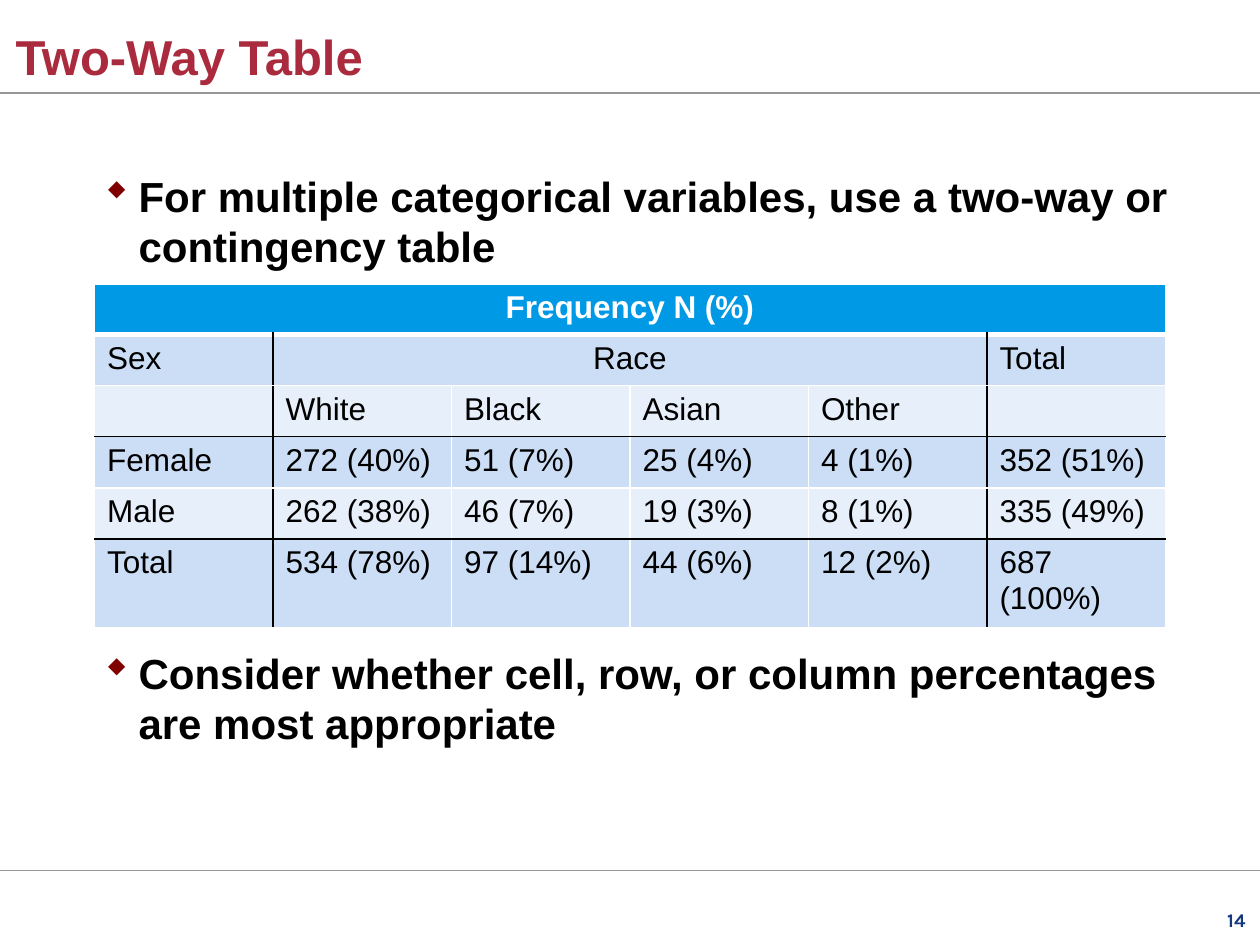
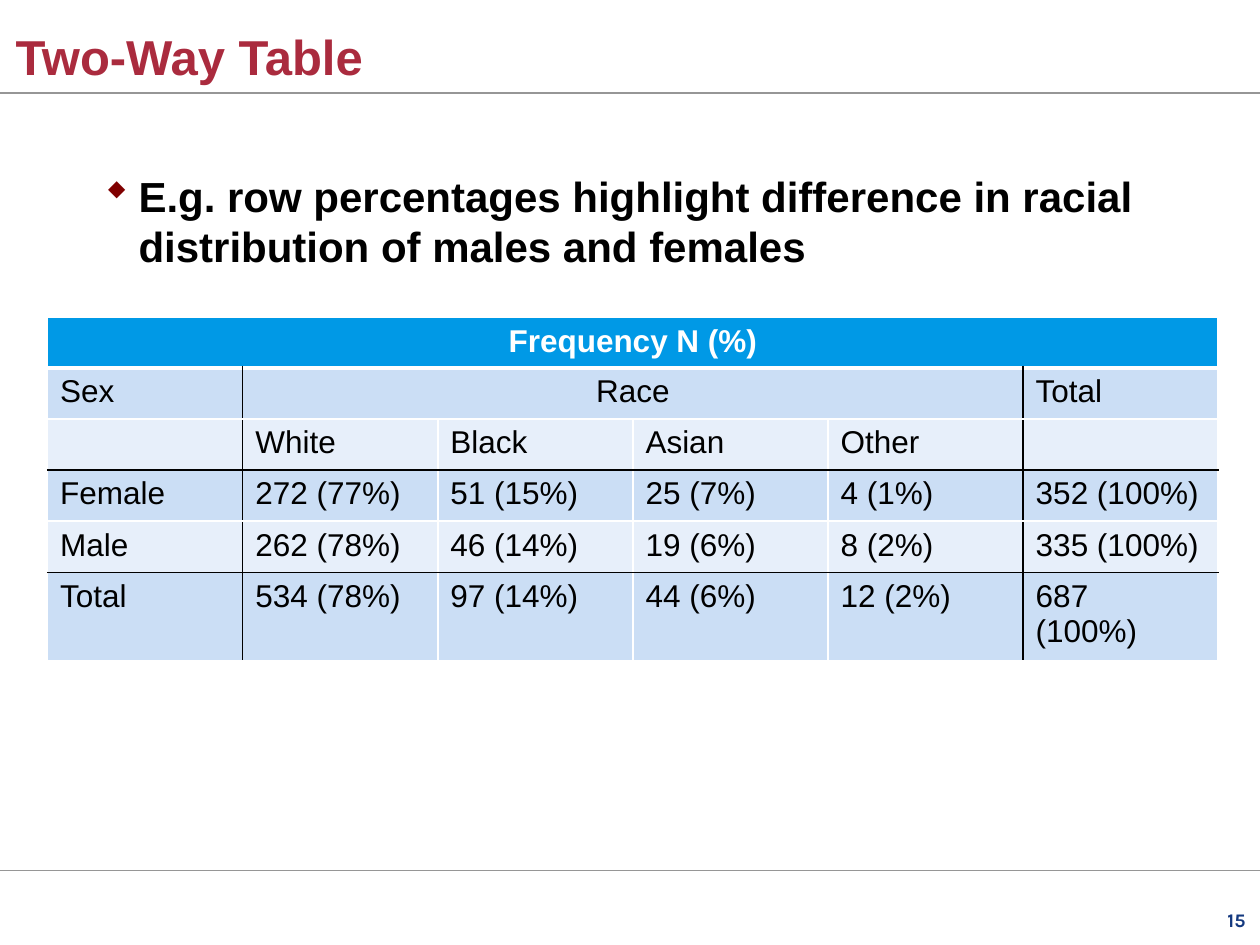
from lxml.etree import SubElement
from pptx import Presentation
from pptx.dml.color import RGBColor
from pptx.enum.shapes import MSO_CONNECTOR
from pptx.enum.text import MSO_ANCHOR, PP_ALIGN
from pptx.oxml.ns import qn
from pptx.util import Pt

# Shared colours
WHITE = RGBColor(0xFF, 0xFF, 0xFF)
BLACK = RGBColor(0x00, 0x00, 0x00)
CRIMSON = RGBColor(0xAA, 0x2B, 0x3E)
MAROON = RGBColor(0x80, 0x00, 0x00)
NAVY = RGBColor(0x14, 0x39, 0x7F)
RULE_GREY = RGBColor(0x96, 0x96, 0x96)
HEADER_BLUE = RGBColor(0x00, 0x99, 0xE6)
BAND_DARK = RGBColor(0xCB, 0xDE, 0xF5)
BAND_LIGHT = RGBColor(0xE7, 0xEF, 0xFA)

# Shared text formats
TITLE_FORMAT = {"name": "Arial", "size": Pt(28), "bold": True, "color": CRIMSON}
BULLET_FORMAT = {"name": "Arial", "size": Pt(24), "bold": True, "color": BLACK}
NUMBER_FORMAT = {"name": "Karla", "size": Pt(11), "bold": True, "color": NAVY}
HEADER_FORMAT = {"name": "Arial", "size": Pt(18), "bold": True, "color": WHITE}
CELL_FORMAT = {**HEADER_FORMAT, "bold": False, "color": BLACK}

# Page geometry in points
PAGE_WIDTH, PAGE_HEIGHT = 720, 540
RULE_HEIGHTS = (53.2, 497.5)
ROW_HEIGHTS = (28.8, 29.2, 29.2, 29.2, 29.2, 50.6)
BULLET_INDENT = 19.4

# Table rows that both pages share
HEADING_ROWS = [
    ["Frequency N (%)", "", "", "", "", ""],
    ["Sex", "Race", "", "", "", "Total"],
    ["", "White", "Black", "Asian", "Other", ""],
]
MERGED_CELLS = (((0, 0), (0, 5)), ((1, 1), (1, 4)))

PAGES = [
    {
        "number": "14",
        "bullets": [
            ("For multiple categorical variables, use a two-way or contingency table", 4),
            ("Consider whether cell, row, or column percentages are most appropriate", 213),
        ],
        "table_corner": (54, 162.3),
        "column_width": 102,
        "counts": [
            ["Female", "272 (40%)", "51 (7%)", "25 (4%)", "4 (1%)", "352 (51%)"],
            ["Male", "262 (38%)", "46 (7%)", "19 (3%)", "8 (1%)", "335 (49%)"],
            ["Total", "534 (78%)", "97 (14%)", "44 (6%)", "12 (2%)", "687 (100%)"],
        ],
    },
    {
        "number": "15",
        "bullets": [
            ("E.g. row percentages highlight difference in racial "
             "distribution of males and females", 4),
        ],
        "table_corner": (27.2, 181.4),
        "column_width": 111.5,
        "counts": [
            ["Female", "272 (77%)", "51 (15%)", "25 (7%)", "4 (1%)", "352 (100%)"],
            ["Male", "262 (78%)", "46 (14%)", "19 (6%)", "8 (2%)", "335 (100%)"],
            ["Total", "534 (78%)", "97 (14%)", "44 (6%)", "12 (2%)", "687\n(100%)"],
        ],
    },
]


def apply_format(font, text_format):
    for attribute, value in text_format.items():
        if attribute == "color":
            font.color.rgb = value
        else:
            setattr(font, attribute, value)


def add_span(para, text, text_format):
    span = para.add_run()
    span.text = text
    apply_format(span.font, text_format)


def add_box(page, bounds, vertical_inset=0, anchor=MSO_ANCHOR.TOP, wrap=True):
    frame = page.shapes.add_textbox(*map(Pt, bounds)).text_frame
    settings = {
        "margin_left": 0, "margin_right": 0,
        "margin_top": Pt(vertical_inset), "margin_bottom": Pt(vertical_inset),
        "vertical_anchor": anchor, "word_wrap": wrap,
    }
    for attribute, value in settings.items():
        setattr(frame, attribute, value)
    return frame


def add_rule(page, height):
    rule = page.shapes.add_connector(
        MSO_CONNECTOR.STRAIGHT, 0, Pt(height), Pt(PAGE_WIDTH), Pt(height))
    rule.line.color.rgb = RULE_GREY
    rule.line.width = Pt(1)
    SubElement(rule._element.spPr, qn("a:effectLst"))


def add_page_frame(page, title, number):
    """Page number, two rules and the title."""
    number_box = add_box(page, (700.3, 519, 11.5, 13), anchor=MSO_ANCHOR.BOTTOM, wrap=False)
    number_box.paragraphs[0].alignment = PP_ALIGN.RIGHT
    add_span(number_box.paragraphs[0], number, NUMBER_FORMAT)
    for height in RULE_HEIGHTS:
        add_rule(page, height)
    title_box = add_box(page, (9, 13, 612, 36), anchor=MSO_ANCHOR.BOTTOM)
    add_span(title_box.paragraphs[0], title, TITLE_FORMAT)


def add_bullet_mark(para):
    """Maroon diamond, which is the letter w in the symbol font."""
    properties = para._p.get_or_add_pPr()
    properties.set("marL", str(Pt(BULLET_INDENT)))
    properties.set("indent", str(-Pt(BULLET_INDENT)))
    colour = SubElement(properties, qn("a:buClr"))
    SubElement(colour, qn("a:srgbClr"), val=str(MAROON))
    SubElement(properties, qn("a:buFont"), typeface="Wingdings", charset="2")
    SubElement(properties, qn("a:buChar"), char="w")


def add_bullets(page, bullets):
    frame = add_box(page, (59.8, 89.3, 612, 374.4), vertical_inset=7.9)
    for index, (text, space_before) in enumerate(bullets):
        para = frame.add_paragraph() if index else frame.paragraphs[0]
        para.space_before = Pt(space_before)
        para.space_after = Pt(2)
        add_bullet_mark(para)
        add_span(para, text, BULLET_FORMAT)


def vertical_border(row, edge):
    """Black rules fence off the first and last columns below the header."""
    return (BLACK if row > 0 and edge in (1, 5) else WHITE), 1


def horizontal_border(edge):
    """Black rules sit above the counts and above the totals."""
    return (BLACK if edge in (3, 5) else WHITE), (3 if edge == 1 else 1)


def set_borders(cell, row, column):
    borders = {
        "a:lnL": vertical_border(row, column),
        "a:lnR": vertical_border(row, column + 1),
        "a:lnT": horizontal_border(row),
        "a:lnB": horizontal_border(row + 1),
    }
    properties = cell._tc.get_or_add_tcPr()
    for position, (tag, (colour, width)) in enumerate(borders.items()):
        line = SubElement(properties, qn(tag), w=str(Pt(width)))
        fill = SubElement(line, qn("a:solidFill"))
        SubElement(fill, qn("a:srgbClr"), val=str(colour))
        properties.insert(position, line)


def fill_cell(cell, text, row, column):
    cell.fill.solid()
    cell.fill.fore_color.rgb = (
        HEADER_BLUE if row == 0 else BAND_DARK if row % 2 else BAND_LIGHT)
    set_borders(cell, row, column)
    text_format = CELL_FORMAT if row else HEADER_FORMAT
    for index, line in enumerate(text.split("\n")):
        para = cell.text_frame.add_paragraph() if index else cell.text_frame.paragraphs[0]
        if cell.is_merge_origin:
            para.alignment = PP_ALIGN.CENTER
        if line:
            add_span(para, line, text_format)
        else:
            apply_format(para.font, text_format)


def add_frequency_table(page, corner, column_width, counts):
    rows = HEADING_ROWS + counts
    column_count = len(rows[0])
    table = page.shapes.add_table(
        len(rows), column_count, *map(Pt, corner),
        Pt(column_width * column_count), Pt(sum(ROW_HEIGHTS))).table
    for column in table.columns:
        column.width = Pt(column_width)
    for row, height in zip(table.rows, ROW_HEIGHTS):
        row.height = Pt(height)
    for first, last in MERGED_CELLS:
        table.cell(*first).merge(table.cell(*last))
    for row, texts in enumerate(rows):
        for column, text in enumerate(texts):
            fill_cell(table.cell(row, column), text, row, column)


def main():
    deck = Presentation()
    deck.slide_width, deck.slide_height = Pt(PAGE_WIDTH), Pt(PAGE_HEIGHT)
    for content in PAGES:
        page = deck.slides.add_slide(deck.slide_layouts[6])
        add_page_frame(page, "Two-Way Table", content["number"])
        add_bullets(page, content["bullets"])
        add_frequency_table(
            page, content["table_corner"], content["column_width"], content["counts"])
    deck.save("out.pptx")


if __name__ == "__main__":
    main()
